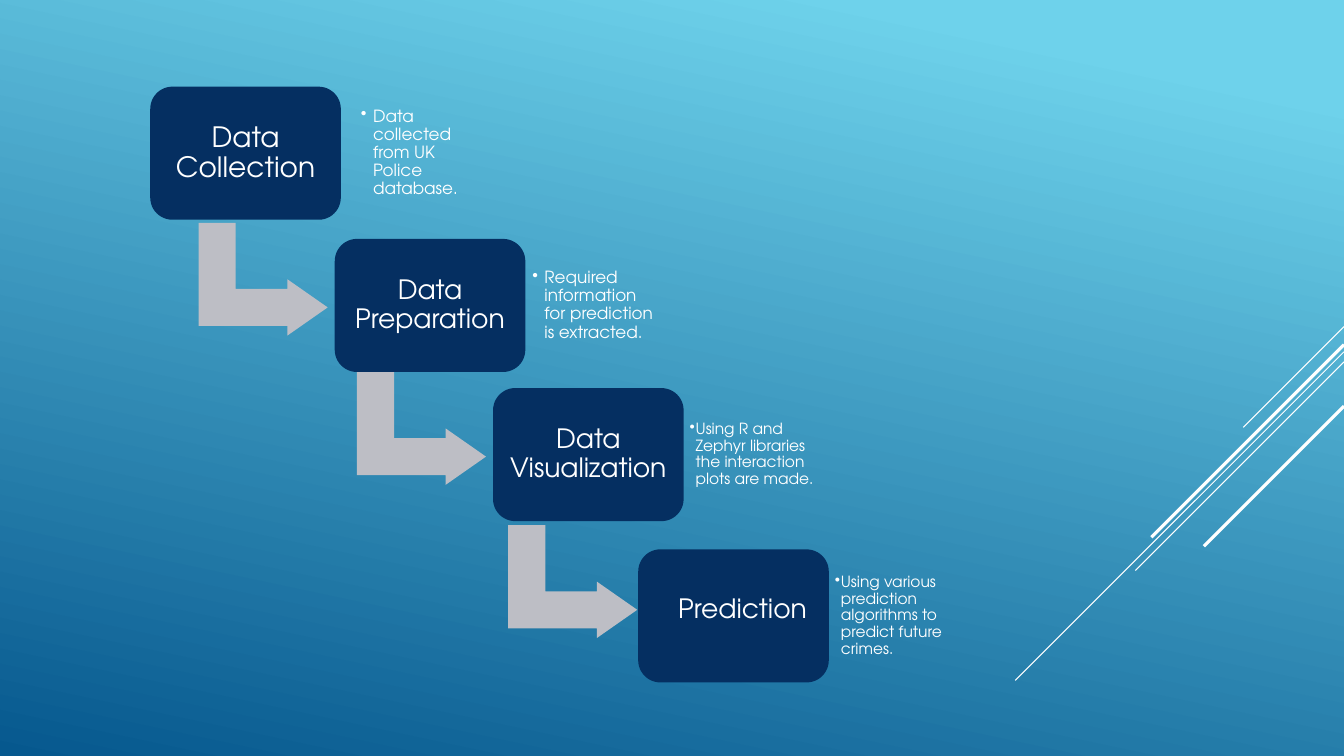
from pptx import Presentation
from pptx.dml.color import RGBColor
from pptx.enum.shapes import MSO_CONNECTOR, MSO_SHAPE
from pptx.enum.text import MSO_ANCHOR, PP_ALIGN
from pptx.util import Inches, Pt
from lxml import etree
from pptx.oxml.ns import qn

ROUND, BENT = MSO_SHAPE.ROUNDED_RECTANGLE, MSO_SHAPE.BENT_UP_ARROW
LINE, MIDDLE = MSO_CONNECTOR.STRAIGHT, MSO_ANCHOR.MIDDLE
LEFT, CENTER = PP_ALIGN.LEFT, PP_ALIGN.CENTER

WHITE = RGBColor(0xFF, 0xFF, 0xFF)
NAVY = RGBColor(0x05, 0x2F, 0x61)
GRAY = RGBColor(0xBD, 0xBE, 0xC5)
SKY = RGBColor(0x6E, 0xD2, 0xEB)
DEEP = RGBColor(0x06, 0x58, 0x8E)
FONT = "TeX Gyre Adventor"

# Content: title, size, note, size, hanging indent
STEPS = [
    ("Data Collection", 20, "Data collected from UK Police database.", 12, 0.12),
    ("Data Preparation", 19, "Required information for prediction is extracted.", 12, 0.12),
    ("Data Visualization", 19,
     "Using R and Zephyr libraries the interaction plots are made.", 11, 0.06),
    ("Prediction", 19,
     "Using various prediction algorithms to predict future crimes.", 11, 0.06),
]

# Grid in inches: one column and row per step
WIDE, HIGH = 13.33, 7.5
COLS = [1.49, 3.32, 4.89, 6.33]
ROWS = [0.86, 2.37, 3.85, 5.45]
CARD_W, CARD_H = 1.89, 1.32
NOTE_W, NOTE_H = 1.38, 1.07
GAPS = [0.13, 0, 0, 0]
PAD = 0.08
SHIFTS = [(0, 0), (0, 0), (0, 0), (0.18, 0.12)]
ARROWS = [(2.05, 2.13), (3.62, 3.61), (5.12, 5.13)]
ARROW_W, ARROW_H = 1.12, 1.28
BENDS = [0.328, 0.25, 0.358]

# Diagonals from the right edge: top, run, weight
RAYS = [(3.24, 1, 0.75), (3.49, 3.26, 0.75), (3.59, 2.07, 0.75),
        (3.42, 1.91, 2.25), (4.03, 1.39, 2.25)]

deck = Presentation()
deck.slide_width, deck.slide_height = Inches(WIDE), Inches(HIGH)
slide = deck.slides.add_slide(deck.slide_layouts[6])
shapes = slide.shapes


def set_all(item, values):
    for name, value in values.items():
        setattr(item, name, value)


def add_block(kind, x, y, w, h, color):
    block = shapes.add_shape(kind, *map(Inches, (x, y, w, h)))
    block.shadow.inherit = False
    block.fill.solid()
    block.fill.fore_color.rgb = color
    block.line.fill.background()
    return block


def write(frame, text, size, align, pads, hang=0):
    left, top, right, bottom = map(Inches, pads)
    set_all(frame, dict(word_wrap=True, vertical_anchor=MIDDLE, margin_left=left,
                        margin_top=top, margin_right=right, margin_bottom=bottom))
    para = frame.paragraphs[0]
    para.text = text
    if hang:
        props = para._p.get_or_add_pPr()
        props.set("marL", str(Inches(hang)))
        props.set("indent", str(-Inches(hang)))
        etree.SubElement(props, qn("a:buChar")).set("char", "•")
    set_all(para, dict(alignment=align, line_spacing=0.9))
    set_all(para.font, dict(name=FONT, size=Pt(size)))
    para.font.color.rgb = WHITE


# Background
fill = slide.background.fill
fill.gradient()
fill.gradient_angle = 360 - 102
for stop, place, color in zip(fill.gradient_stops, (0.1, 1), (SKY, DEEP)):
    stop.position = place
    stop.color.rgb = color

# Diagonal lines
for top, run, weight in RAYS:
    ray = shapes.add_connector(LINE, *map(Inches, (WIDE, top, WIDE - run, top + run)))
    ray.line.color.rgb = WHITE
    ray.line.width = Pt(weight)
    etree.SubElement(ray._element.spPr, qn("a:effectLst"))

# Arrows between steps
for x, y in ARROWS:
    arrow = add_block(BENT, x, y, ARROW_W, ARROW_H, GRAY)
    arrow.rotation = 90
    for i, bend in enumerate(BENDS):
        arrow.adjustments[i] = bend

# Cards and notes
for step, x, y, gap, (right, up) in zip(STEPS, COLS, ROWS, GAPS, SHIFTS):
    title, size, text, small, hang = step
    card = add_block(ROUND, x, y, CARD_W, CARD_H, NAVY)
    write(card.text_frame, title, size, CENTER, (PAD + right, PAD, PAD, PAD + up))
    spot = (x + CARD_W + gap, y + (CARD_H - NOTE_H) / 2, NOTE_W, NOTE_H)
    note = shapes.add_textbox(*map(Inches, spot))
    inset = 0.07 if small == 12 else 0.06
    write(note.text_frame, text, small, LEFT, [inset] * 4, hang)

deck.save("out.pptx")
